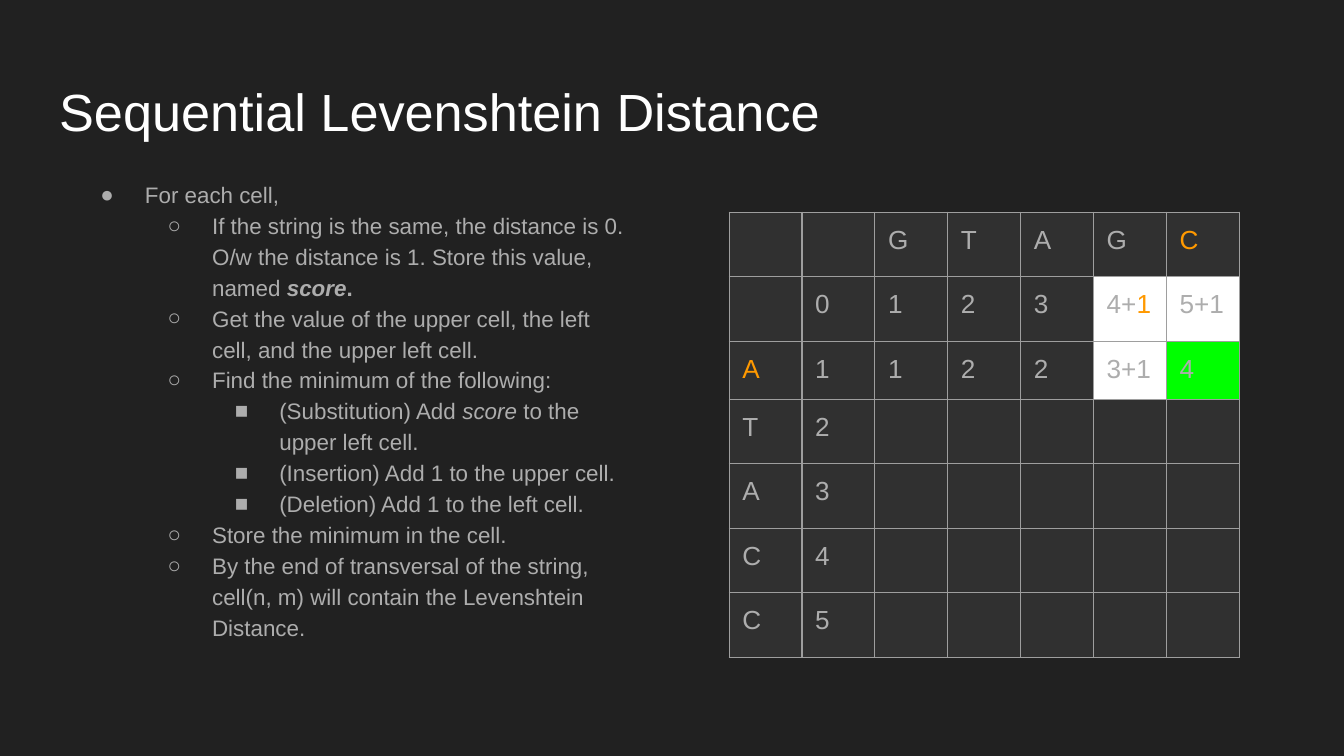
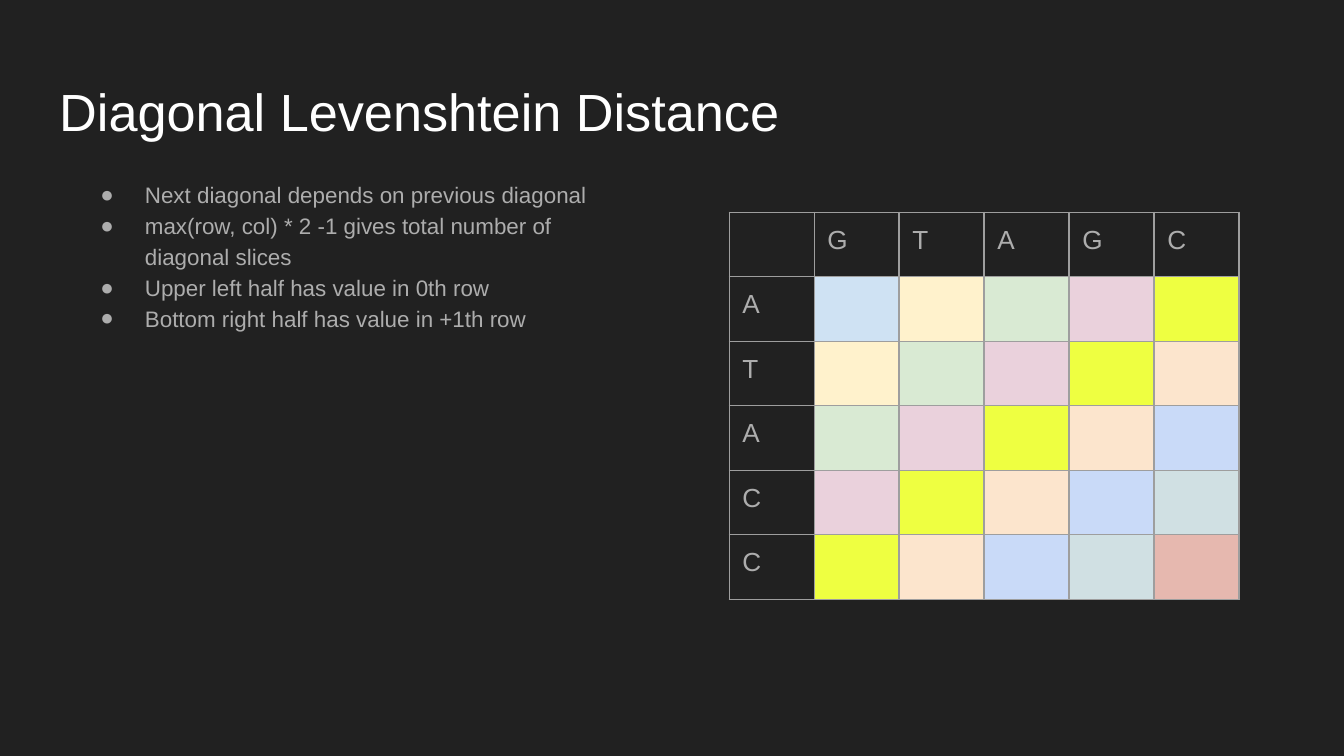
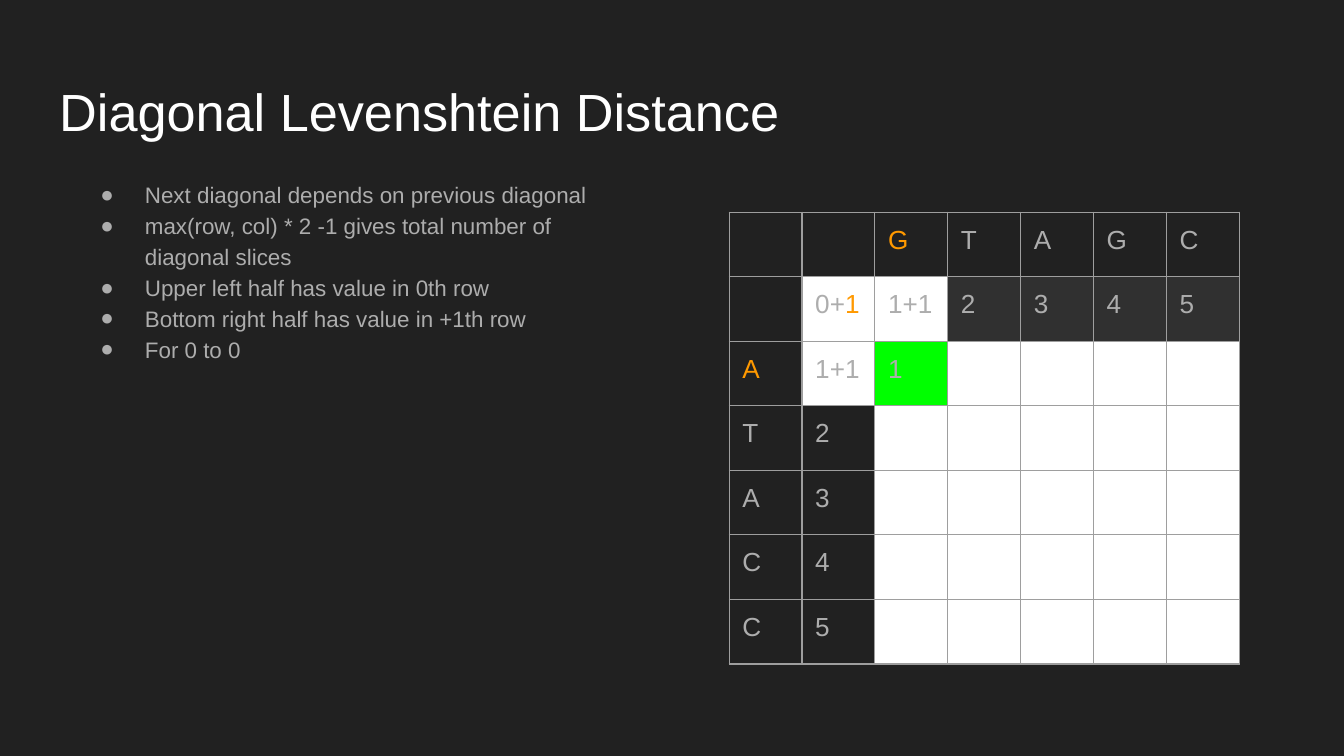
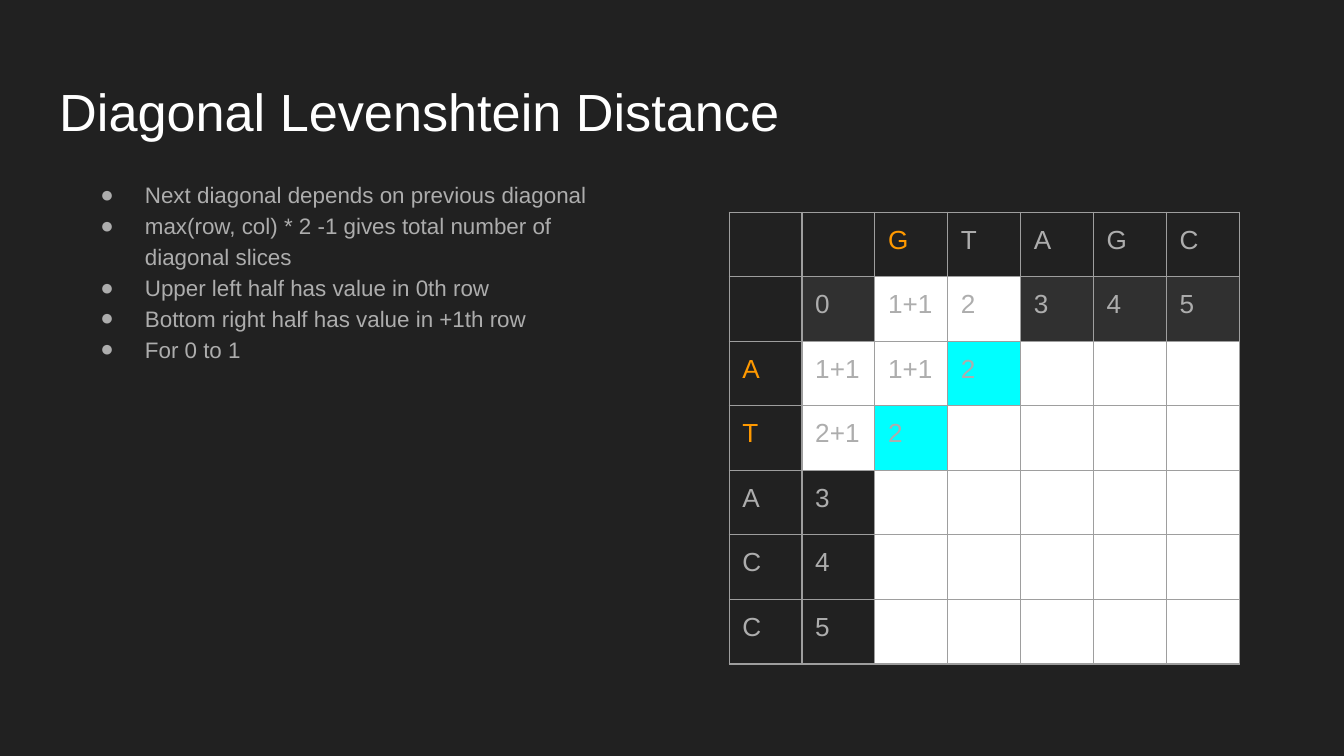
from lxml.etree import SubElement as Sub
from pptx import Presentation as Deck
from pptx.dml.color import RGBColor as RGB
from pptx.oxml.ns import qn
from pptx.util import Cm, Pt

BACK, WHITE, GREY, DARK = "212121", "FFFFFF", "ADADAD", "303030"
HOT, LIME, CYAN, EDGE = "FF9900", "00FF00", "00FFFF", "9E9E9E"
HUES = ["CFE2F3", "FFF2CC", "D9EAD3", "EAD1DC", "EEFF41",
        "FCE5CD", "C9DAF8", "D0E0E3", "E6B8AF"]
FILLS = {"d": DARK, "w": WHITE, "g": LIME, "c": CYAN, ".": None}
FILLS.update({str(n): hue for n, hue in enumerate(HUES)})
MARKS = "●○■"
PAD = Cm(0.25)
SIDES = ("left", "top", "right", "bottom")

POINTS = [
    (0, "Next diagonal depends on previous diagonal"),
    (0, "max(row, col) * 2 -1 gives total number of diagonal slices"),
    (0, "Upper left half has value in 0th row"),
    (0, "Bottom right half has value in +1th row"),
]
STEPS = [
    (0, "For each cell,"),
    (1, "If the string is the same, the distance is 0. O/w the distance is 1. "
        "Store this value, named ", ("score", {"bold": True, "italic": True}),
        (".", {"bold": True})),
    (1, "Get the value of the upper cell, the left cell, and the upper left cell."),
    (1, "Find the minimum of the following:"),
    (2, "(Substitution) Add ", ("score", {"italic": True}), " to the upper left cell."),
    (2, "(Insertion) Add 1 to the upper cell."),
    (2, "(Deletion) Add 1 to the left cell."),
    (1, "Store the minimum in the cell."),
    (1, "By the end of transversal of the string, cell(n, m) will contain "
        "the Levenshtein Distance."),
]


def color(code):
    return RGB.from_string(code)


def style(font, size, hue, **look):
    font.color.rgb = color(hue)
    for key, val in {"name": "Arial", "size": Pt(size), **look}.items():
        setattr(font, key, val)


def add_run(para, text, size, hue, **look):
    run = para.add_run()
    run.text = text
    style(run.font, size, hue, **look)


def add_box(slide, left, top, wide, high):
    frame = slide.shapes.add_textbox(Cm(left), Cm(top), Cm(wide), Cm(high)).text_frame
    frame.word_wrap = True
    for side in SIDES:
        setattr(frame, f"margin_{side}", PAD)
    return frame


def add_mark(para, level):
    props = para._p.get_or_add_pPr()
    props.set("marL", str(Cm(1.27 * (level + 1))))
    props.set("indent", str(Cm(-0.84)))
    Sub(Sub(props, qn("a:buClr")), qn("a:srgbClr"), val=GREY)
    Sub(props, qn("a:buFont"), typeface="Arial")
    Sub(props, qn("a:buChar"), char=MARKS[level])
    para.level = level
    para.line_spacing = 1.15


def add_list(slide, items):
    frame = add_box(slide, 1.22, 3.1, 10.87, 10.13)
    for pos, (level, *parts) in enumerate(items):
        para = frame.add_paragraph() if pos else frame.paragraphs[0]
        add_mark(para, level)
        for part in parts:
            text, look = (part, {}) if isinstance(part, str) else part
            add_run(para, text, 12, GREY, **look)


def add_edge(cell):
    props = cell._tc.get_or_add_tcPr()
    for pos, tag in enumerate(("lnL", "lnR", "lnT", "lnB")):
        line = props.makeelement(qn(f"a:{tag}"), {"w": str(Pt(0.75))})
        Sub(Sub(line, qn("a:solidFill")), qn("a:srgbClr"), val=EDGE)
        props.insert(pos, line)


def fill_cell(cell, text, fill):
    for side in SIDES:
        setattr(cell, f"margin_{side}", PAD)
    if fill:
        cell.fill.solid()
        cell.fill.fore_color.rgb = color(fill)
    else:
        cell.fill.background()
    add_edge(cell)
    para = cell.text_frame.paragraphs[0]
    if not text:
        style(para.font, 14, GREY)
    for pos, part in enumerate(text.split("*")):
        if part:
            add_run(para, part, 14, HOT if pos % 2 else GREY)


def add_grid(slide, texts, fills, highs):
    rows, cols = len(fills), len(fills[0])
    table = slide.shapes.add_table(
        rows, cols, Cm(13.78), Cm(4.01), Cm(9.64), Cm(8.33)).table
    table.first_row = table.horz_banding = False
    for col in table.columns:
        col.width = Cm(9.64 / cols)
    for row, high in zip(table.rows, highs):
        row.height = Cm(high)
    for r, codes in enumerate(fills):
        words = texts[r].split(",")
        words += [""] * (cols - len(words))
        for c, code in enumerate(codes):
            fill_cell(table.cell(r, c), words[c], FILLS[code])


def add_page(deck, title, items, texts, fills, highs):
    slide = deck.slides.add_slide(deck.slide_layouts[6])
    slide.background.fill.solid()
    slide.background.fill.fore_color.rgb = color(BACK)
    frame = add_box(slide, 0.87, 1.24, 23.67, 1.59)
    add_run(frame.paragraphs[0], title, 28, WHITE)
    add_list(slide, items)
    add_grid(slide, texts, fills, highs)


def main():
    deck = Deck()
    deck.slide_width, deck.slide_height = Cm(25.4), Cm(14.29)
    diag = "Diagonal Levenshtein Distance"
    even = [1.22] * 7
    tail = [",".join(pair) for pair in zip("TACC", "2345")]
    add_page(deck, "Sequential Levenshtein Distance", STEPS,
             [",,G,T,A,G,*C*", ",0,1,2,3,4+*1*,5+1", "*A*,1,1,2,2,3+1,4", *tail],
             ["d" * 7, "dddddww", "dddddwg"] + ["d" * 7] * 4,
             [1.22, 1.22, 1.07] + [1.22] * 4)
    bands = ["." + "".join(str(r + c) for c in range(5)) for r in range(5)]
    add_page(deck, diag, POINTS, [",G,T,A,G,C", *"ATACC"], ["." * 6, *bands], even)
    head = ",,*G*,T,A,G,C"
    add_page(deck, diag, POINTS + [(0, "For 0 to 0")],
             [head, ",0+*1*,1+1,2,3,4,5", "*A*,1+1,1", *tail],
             ["." * 7, ".wwdddd", ".wgwwww"] + ["..wwwww"] * 4, even)
    add_page(deck, diag, POINTS + [(0, "For 0 to 1")],
             [head, ",0,1+1,2,3,4,5", "*A*,1+1,1+1,2", "*T*,2+1,2", *tail[1:]],
             ["." * 7, ".dwwddd", ".wwcwww", ".wcwwww"] + ["..wwwww"] * 3, even)
    deck.save("out.pptx")


if __name__ == "__main__":
    main()
